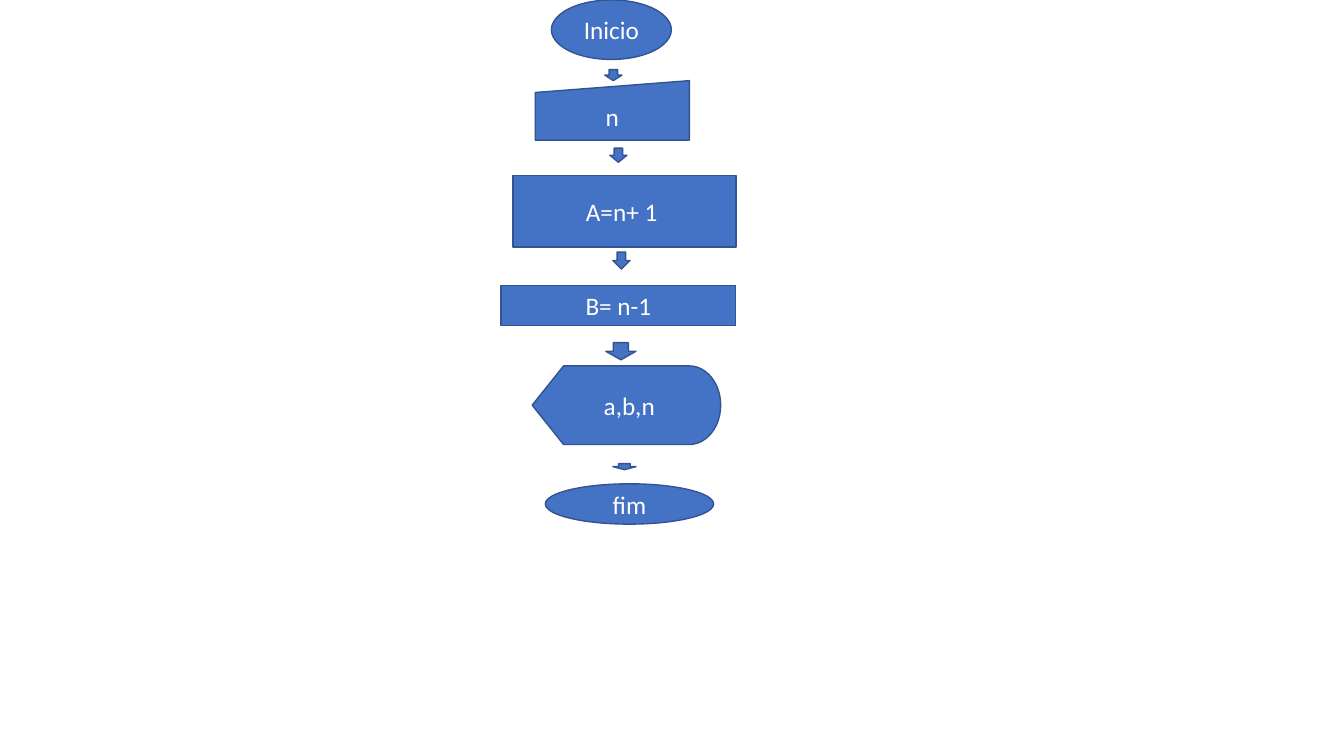
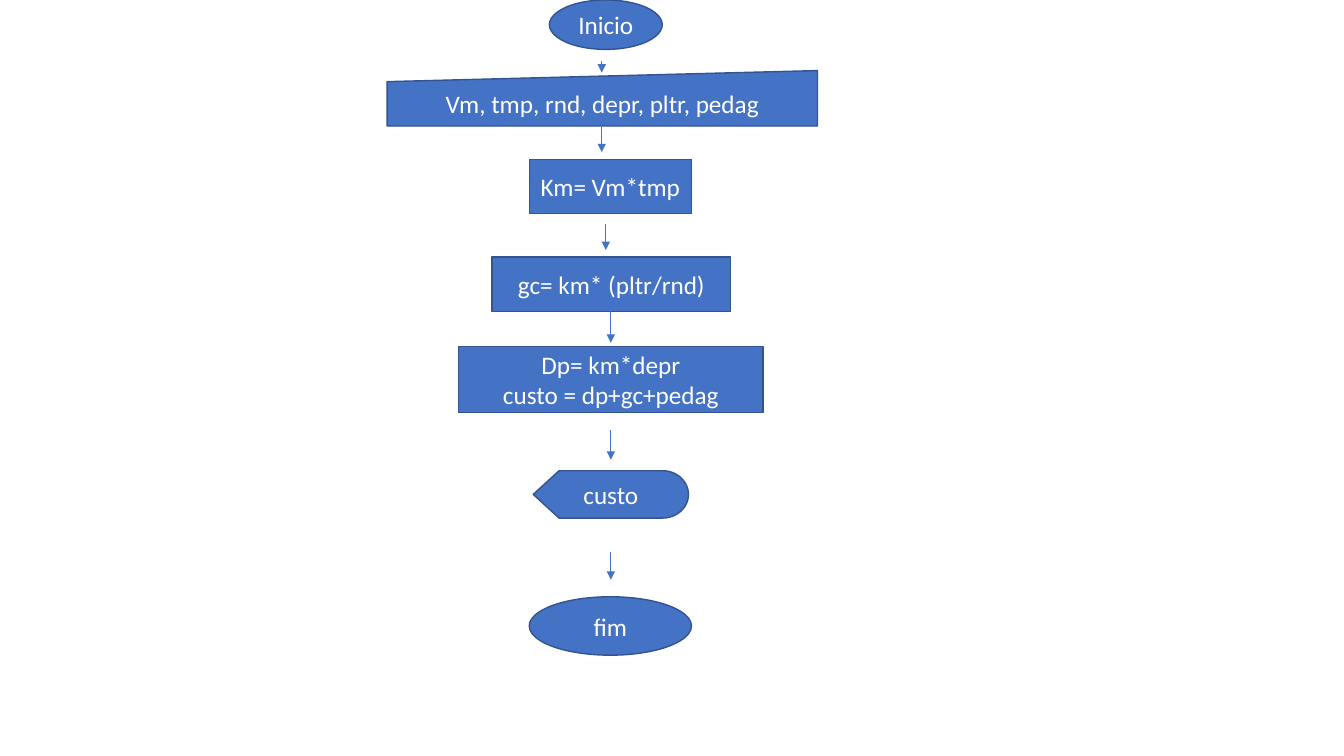
from lxml.etree import SubElement
from pptx import Presentation
from pptx.dml.color import RGBColor
from pptx.enum.shapes import MSO_CONNECTOR, MSO_SHAPE
from pptx.enum.text import MSO_ANCHOR, PP_ALIGN
from pptx.oxml.ns import qn
from pptx.util import Inches, Pt

COLORS = {"fill": "4472C4", "outline": "325491", "text": "FFFFFF"}
FONT = {"name": "Calibri", "size": Pt(18)}
FRAME = {"word_wrap": True, "vertical_anchor": MSO_ANCHOR.MIDDLE}
CELL = 0.1  # inches per grid column and row
COLUMNS, ROWS = 133.33, 75

TERMINAL = MSO_SHAPE.OVAL
INPUT = MSO_SHAPE.FLOWCHART_MANUAL_INPUT
PROCESS = MSO_SHAPE.RECTANGLE
DISPLAY = MSO_SHAPE.FLOWCHART_DISPLAY

# Steps: kind, text, left, top, width, height in grid cells
SUCCESSOR_STEPS = [
    (TERMINAL, "Inicio", 54.7, 0, 11.9, 5.9),
    (INPUT, "n", 53.1, 8, 15.3, 5.9),
    (PROCESS, "A=n+ 1 ", 50.9, 17.4, 22.1, 7.1),
    (PROCESS, "B= n-1", 49.7, 28.3, 23.3, 4),
    (DISPLAY, " a,b,n", 52.8, 36.3, 18.7, 7.8),
    (TERMINAL, "fim", 54.1, 48, 16.7, 4),
]
# Block arrows: left, top, width, height
SUCCESSOR_ARROWS = [
    (60, 6.9, 1.7, 1.1),
    (60.5, 14.7, 1.7, 1.4),
    (60.8, 25, 1.7, 1.7),
    (60.1, 34, 3, 1.7),
    (60.8, 46, 2.3, 0.6),
]
COST_STEPS = [
    (TERMINAL, "Inicio", 54.5, 0, 11.2, 4.9),
    (INPUT, "Vm, tmp, rnd, depr, pltr, pedag", 38.4, 7, 42.7, 5.5),
    (PROCESS, "Km= Vm*tmp", 52.5, 15.8, 16.1, 5.4),
    (PROCESS, "gc= km* (pltr/rnd)", 48.8, 25.5, 23.7, 5.4),
    (PROCESS, "Dp= km*depr\vcusto = dp+gc+pedag", 45.5, 34.4, 30.2, 6.5),
    (DISPLAY, "custo", 52.9, 46.7, 15.4, 4.7),
    (TERMINAL, "fim", 52.5, 59.2, 16.1, 5.8),
]
# Line arrows: column, start row, end row
COST_ARROWS = [
    (59.7, 6.1, 7.2),
    (59.7, 12.6, 15.1),
    (60.1, 22.2, 24.8),
    (60.6, 30.9, 34),
    (60.6, 42.7, 45.6),
    (60.6, 54.8, 57.5),
]


def cells(*counts):
    """Convert grid cell counts to lengths."""
    return [Inches(count * CELL) for count in counts]


def color(name):
    """Return a named colour."""
    return RGBColor.from_string(COLORS[name])


def apply(target, values):
    """Set each format value on the target."""
    for name, value in values.items():
        setattr(target, name, value)


def add_block(slide, kind, *box):
    """Add a filled and outlined preset shape."""
    shape = slide.shapes.add_shape(kind, *cells(*box))
    shape.shadow.inherit = False
    shape.fill.solid()
    shape.fill.fore_color.rgb = color("fill")
    shape.line.color.rgb = color("outline")
    shape.line.width = Pt(1)
    return shape


def add_step(slide, kind, text, *box):
    """Add a flowchart step with centred text."""
    frame = add_block(slide, kind, *box).text_frame
    apply(frame, FRAME)
    frame.text = text
    paragraph = frame.paragraphs[0]
    paragraph.alignment = PP_ALIGN.CENTER
    for run in paragraph.runs:
        apply(run.font, FONT)
        run.font.color.rgb = color("text")


def add_block_arrow(slide, *box):
    """Add a downward block arrow."""
    add_block(slide, MSO_SHAPE.DOWN_ARROW, *box)


def add_line_arrow(slide, column, start, end):
    """Add a thin vertical line with an arrowhead at its end."""
    connector = slide.shapes.add_connector(
        MSO_CONNECTOR.STRAIGHT, *cells(column, start, column, end))
    connector.line.color.rgb = color("fill")
    connector.line.width = Pt(0.5)
    properties = connector._element.spPr
    SubElement(properties.find(qn("a:ln")), qn("a:tailEnd"), type="triangle")
    SubElement(properties, qn("a:effectLst"))


def add_flowchart(presentation, steps, arrows, add_arrow):
    """Add a slide with the given steps and arrows."""
    slide = presentation.slides.add_slide(presentation.slide_layouts[6])
    for step in steps:
        add_step(slide, *step)
    for arrow in arrows:
        add_arrow(slide, *arrow)


def main():
    """Build and save both flowcharts."""
    presentation = Presentation()
    width, height = cells(COLUMNS, ROWS)
    apply(presentation, {"slide_width": width, "slide_height": height})
    add_flowchart(presentation, SUCCESSOR_STEPS, SUCCESSOR_ARROWS, add_block_arrow)
    add_flowchart(presentation, COST_STEPS, COST_ARROWS, add_line_arrow)
    presentation.save("out.pptx")


main()
